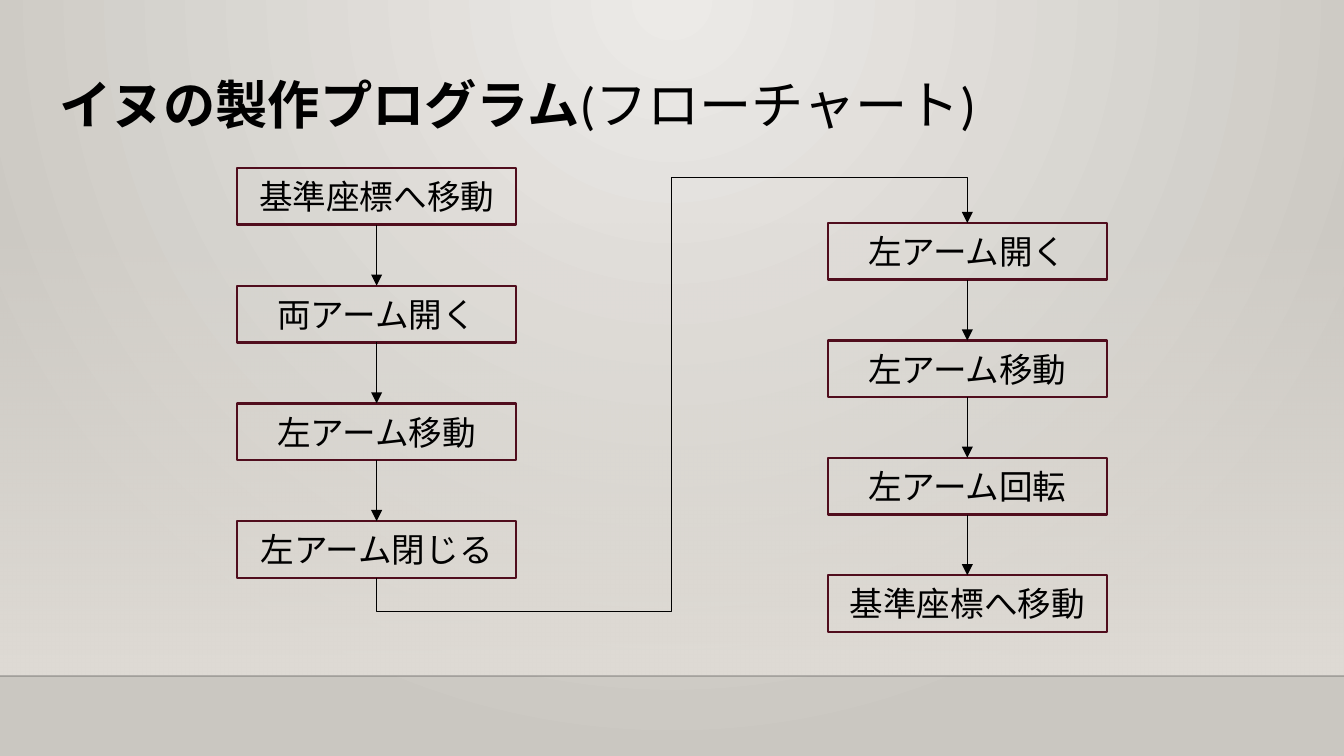
from lxml import etree
from pptx import Presentation
from pptx.dml.color import RGBColor
from pptx.enum.shapes import MSO_CONNECTOR, MSO_SHAPE
from pptx.enum.text import MSO_ANCHOR, MSO_AUTO_SIZE, PP_ALIGN
from pptx.oxml.ns import qn
from pptx.util import Inches, Pt

STRAIGHT, ELBOW = MSO_CONNECTOR.STRAIGHT, MSO_CONNECTOR.ELBOW
RECTANGLE = MSO_SHAPE.RECTANGLE
LEFT, CENTER = PP_ALIGN.LEFT, PP_ALIGN.CENTER
TOP, MIDDLE = MSO_ANCHOR.TOP, MSO_ANCHOR.MIDDLE
NO_FIT = MSO_AUTO_SIZE.NONE

WIDTH = Inches(10)
HEIGHT = WIDTH * 9 // 16
FONT, BLACK, WINE = "Calibri", "000000", "500D1D"
BOX_WIDTH, BOX_HEIGHT = 20.75, 7.5
FADE, FLOOR = 29.5, 89.42
LEFT_STEPS = ["基準座標へ移動", "両アーム開く", "左アーム移動", "左アーム閉じる"]
RIGHT_STEPS = ["左アーム開く", "左アーム移動", "左アーム回転", "基準座標へ移動"]


def across(share):
    """Turn a percentage of the slide width into a length."""
    return int(WIDTH * share / 100)


def down(share):
    """Turn a percentage of the slide height into a length."""
    return int(HEIGHT * share / 100)


def color(hex_code):
    """Turn a hex string into a colour."""
    return RGBColor.from_string(hex_code)


def add_node(parent, tag, **attributes):
    """Append a drawing element with the given attributes."""
    node = etree.SubElement(parent, qn(tag))
    for name, value in attributes.items():
        node.set(name, str(value))
    return node


def set_alpha(holder, percents):
    """Give each colour inside the holder its opacity."""
    for node, percent in zip(holder.iter(qn("a:srgbClr")), percents):
        add_node(node, "a:alpha", val=percent * 1000)


def set_gradient(fill, hex_codes):
    """Fill with a gradient of two colours."""
    fill.gradient()
    for stop, hex_code in zip(fill.gradient_stops, hex_codes):
        stop.color.rgb = color(hex_code)


def style_run(span, size, bold=False):
    """Format one run of text."""
    span.font.name, span.font.size = FONT, Pt(size)
    span.font.bold, span.font.color.rgb = bold, color(BLACK)


def add_connection(slide, begin, end, kind=STRAIGHT, arrow=True, hex_code=BLACK, width=0.75):
    """Draw a connector between two points."""
    connector = slide.shapes.add_connector(kind, *begin, *end)
    connector.line.color.rgb, connector.line.width = color(hex_code), Pt(width)
    properties = connector._element.spPr
    if arrow:
        add_node(properties.find(qn("a:ln")), "a:tailEnd", type="triangle")
    add_node(properties, "a:effectLst")
    return connector


def set_bend(connector, preset, adjustments=()):
    """Choose the elbow form and its bend positions."""
    geometry = connector._element.spPr.find(qn("a:prstGeom"))
    geometry.set("prst", preset)
    for number, value in enumerate(adjustments, 1):
        add_node(geometry.find(qn("a:avLst")), "a:gd", name=f"adj{number}", fmla=f"val {value}")


def add_backdrop(slide):
    """Paint the wall, its fade and the floor edge."""
    set_gradient(slide.background.fill, ["ECEAE7", "CAC7C1"])
    gradient = next(slide._element.iter(qn("a:gradFill")))
    gradient.remove(gradient.find(qn("a:lin")))
    circle = add_node(gradient, "a:path", path="circle")
    add_node(circle, "a:fillToRect", l=43000, t=0, r=43000, b=100000)
    fade = slide.shapes.add_shape(RECTANGLE, 0, down(FADE), WIDTH, down(FLOOR - FADE))
    fade.shadow.inherit = False
    fade.line.fill.background()
    set_gradient(fade.fill, ["DFDBD5", "DFDBD5"])
    fade.fill.gradient_angle = 270
    set_alpha(fade._element.spPr, [0, 100])
    edge = add_connection(slide, (0, down(FLOOR)), (WIDTH, down(FLOOR)),
                          arrow=False, hex_code="000001", width=1)
    set_alpha(edge._element.spPr, [20])


def add_title(slide, strong, plain):
    """Write the title with a bold and a plain part."""
    title = slide.shapes.title
    title.left, title.top = across(3.4), down(8.71)
    title.width, title.height = across(93.2), down(11.2)
    frame = title.text_frame
    frame.margin_left = frame.margin_right = Inches(0.1)
    frame.margin_top = frame.margin_bottom = Inches(0.1)
    frame.vertical_anchor, frame.auto_size, frame.word_wrap = TOP, NO_FIT, True
    para = frame.paragraphs[0]
    para.alignment, para.line_spacing = LEFT, 0.9
    for text, bold in ((strong, True), (plain, False)):
        span = para.add_run()
        span.text = text
        style_run(span, 28, bold)


def add_step(slide, text, left, top):
    """Draw one outlined step of the flow."""
    box = slide.shapes.add_shape(RECTANGLE, across(left), down(top),
                                 across(BOX_WIDTH), down(BOX_HEIGHT))
    box.shadow.inherit = False
    box.fill.background()
    box.line.color.rgb, box.line.width = color(WINE), Pt(1.25)
    box.text_frame.text = text
    box.text_frame.vertical_anchor = MIDDLE
    para = box.text_frame.paragraphs[0]
    para.alignment = CENTER
    style_run(para.runs[0], 18)
    return box


def top_of(box):
    """Return the middle of the upper edge."""
    return box.left + box.width // 2, box.top


def bottom_of(box):
    """Return the middle of the lower edge."""
    return box.left + box.width // 2, box.top + box.height


def add_column(slide, steps, left, first, last):
    """Stack evenly spaced steps joined by arrows."""
    pitch = (last - first) / (len(steps) - 1)
    boxes = [add_step(slide, text, left, first + pitch * row) for row, text in enumerate(steps)]
    for upper, lower in zip(boxes, boxes[1:]):
        add_connection(slide, bottom_of(upper), top_of(lower))
    return boxes


def add_column_link(slide, begin, end):
    """Lead the flow from the foot of one column to the head of the next."""
    joint = across(61.6), down(23.47)
    middle_x, middle_y = (begin[0] + joint[0]) // 2, (begin[1] + joint[1]) // 2
    half_width, half_height = (begin[1] - joint[1]) // 2, (joint[0] - begin[0]) // 2
    rise = add_connection(slide, (middle_x + half_width, middle_y + half_height),
                          (middle_x - half_width, middle_y - half_height), ELBOW, arrow=False)
    rise._element.spPr.find(qn("a:xfrm")).set("rot", str(90 * 60000))
    set_bend(rise, "bentConnector4", [-8400, 65400])
    set_bend(add_connection(slide, joint, end, ELBOW), "bentConnector2")


def main():
    """Build and save the flowchart slide."""
    deck = Presentation()
    deck.slide_width, deck.slide_height = WIDTH, HEIGHT
    page = deck.slides.add_slide(deck.slide_layouts[5])
    add_backdrop(page)
    add_title(page, "イヌの製作プログラム", "(フローチャート)")
    left_boxes = add_column(page, LEFT_STEPS, 17.65, 22.23, 68.93)
    right_boxes = add_column(page, RIGHT_STEPS, 61.6, 29.5, 76.09)
    add_column_link(page, bottom_of(left_boxes[-1]), top_of(right_boxes[0]))
    deck.save("out.pptx")


main()
